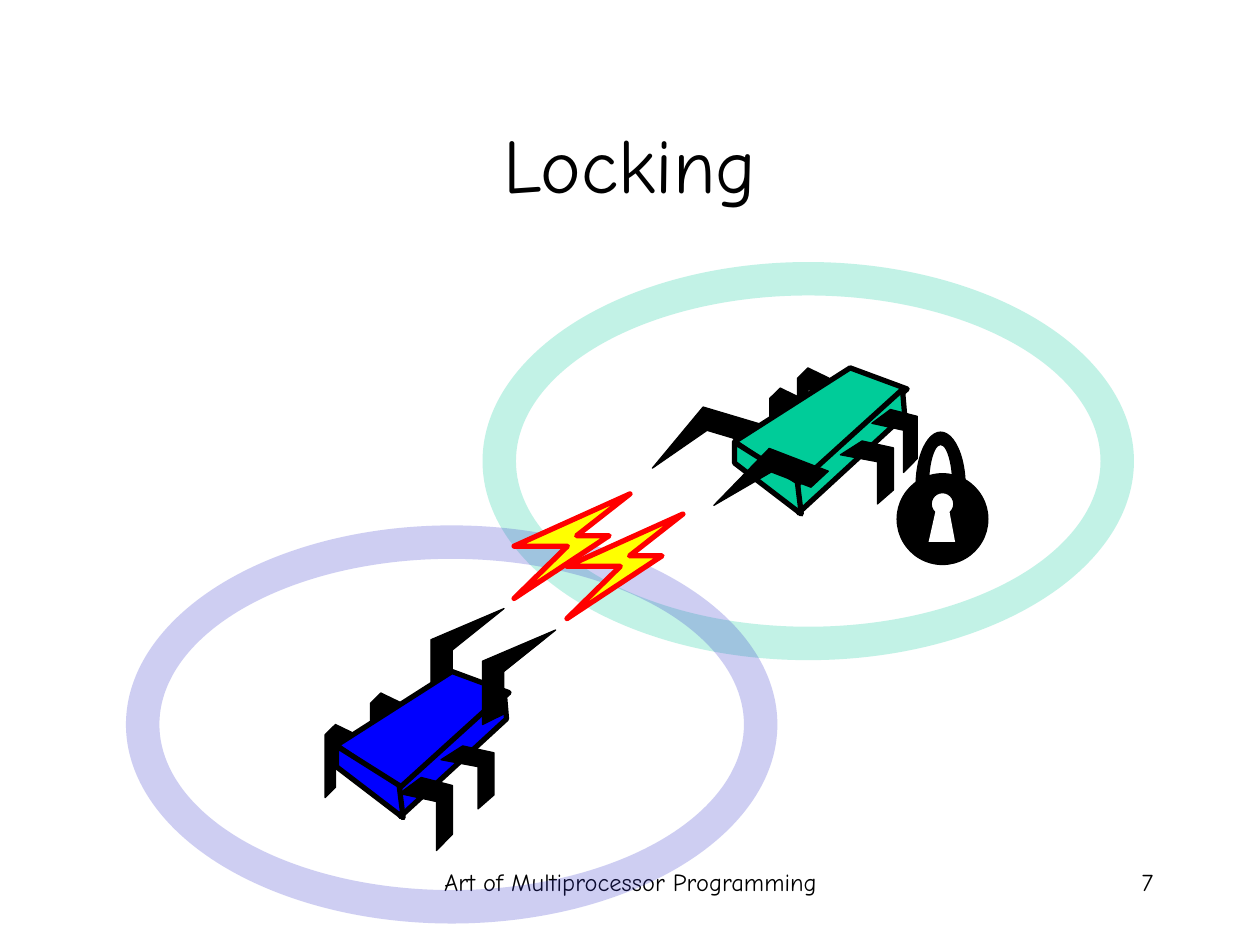
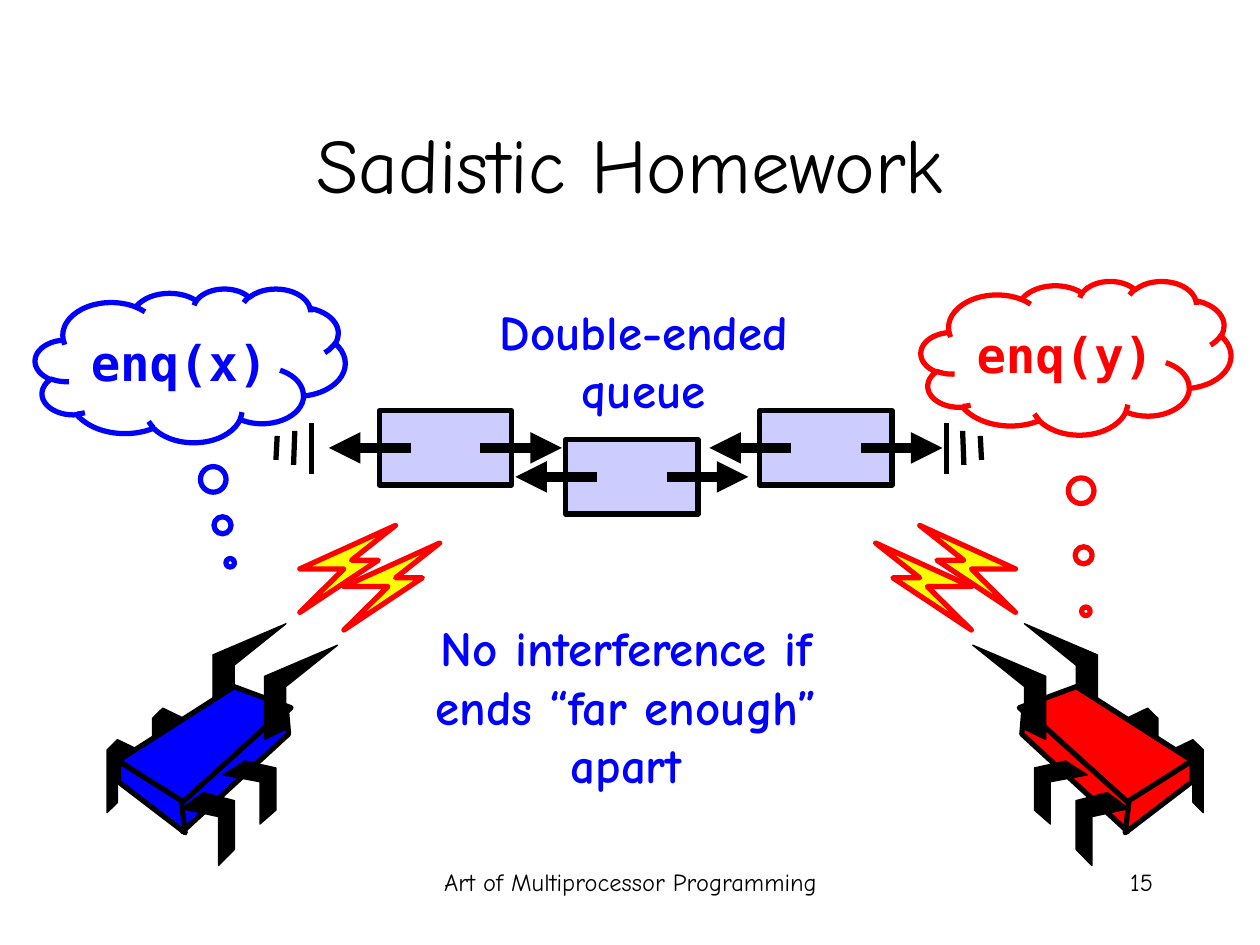
from lxml import etree
from pptx import Presentation
from pptx import util as u
from pptx.dml.color import RGBColor
from pptx.enum import shapes, text
from pptx.oxml.ns import qn

BLACK = RGBColor(0x00, 0x00, 0x00)
WHITE = RGBColor(0xFF, 0xFF, 0xFF)
BLUE = RGBColor(0x00, 0x00, 0xFF)
RED = RGBColor(0xFF, 0x00, 0x00)
YELLOW = RGBColor(0xFF, 0xFF, 0x00)
GREEN = RGBColor(0x00, 0xCC, 0x99)
INDIGO = RGBColor(0x33, 0x33, 0xCC)
LAVENDER = RGBColor(0xCC, 0xCC, 0xFF)

FONT, CODE_FONT = "Comic Neue", "DejaVu Sans Mono"
FOOTER = "Art of Multiprocessor Programming"
TITLE_BOX = (0.75, 0.67, 8.5, 1.25)
FOOTER_BOX = (3.42, 6.83, 3.17, 0.5)
NUMBER_BOX = (7.17, 6.83, 2.08, 0.5)

# Outlines, as shares of each part's own box
CLAW = [(0, 1), (0.29, 0.89), (0.29, 0.44), (1, 0), (0, 0.33)]
BACK_LEG = [(1, 0.14), (0.33, 0), (0, 0.14), (0, 1), (0.33, 0.86), (0.33, 0.29), (1, 0.43)]
SIDE_LEG = [(0.41, 0), (0, 0.22), (0.7, 0.33), (0.7, 1), (1, 0.78), (1, 0.11)]
BODY_TOP = [(0.67, 0), (0, 0.63), (0.37, 1), (1, 0.18)]
BODY_SIDE = [(0.98, 0), (0, 0.77), (0.01, 1), (1, 0.21)]
BODY_FRONT = [(0, 0), (0, 0.29), (1, 1), (0.94, 0.55)]
BOLT = [(0, 1), (0.46, 0.5), (0, 0.5), (1, 0), (0.54, 0.4), (0.82, 0.4)]
KEYHOLE = [(0, 1), (1, 1), (0.76, 0), (0.29, 0)]

# Bug parts: outline, box from the bug's corner, and rotation of a turned claw
BUG_WIDTH = 1.83
CLAW_SIZE, BACK_LEG_SIZE = (0.58, 0.75), (0.25, 0.58)
BODY = [
    (BODY_TOP, (0.09, 0.5, 1.37, 0.93), 0),
    (BODY_SIDE, (0.59, 0.67, 0.85, 0.98), 0),
    (BODY_FRONT, (0.09, 1.09, 0.53, 0.57), 0),
]
REACHING_UP = [
    (CLAW, (0.84, 0, *CLAW_SIZE), 0),
    (BACK_LEG, (0, 0.92, *BACK_LEG_SIZE), 0),
    (BACK_LEG, (0.36, 0.67, *BACK_LEG_SIZE), 0),
    *BODY,
    (SIDE_LEG, (0.59, 1.34, 0.42, 0.58), 0),
    (SIDE_LEG, (0.92, 1.09, 0.42, 0.5), 0),
    (CLAW, (1.25, 0.17, *CLAW_SIZE), 0),
]
REACHING_DOWN = [
    (CLAW, (-0.41, 0.75, *CLAW_SIZE), 286.6),
    (BACK_LEG, (0.59, 0.5, *BACK_LEG_SIZE), 0),
    (BACK_LEG, (0.37, 0.66, *BACK_LEG_SIZE), 0),
    *BODY,
    (SIDE_LEG, (1.18, 0.83, 0.36, 0.5), 0),
    (SIDE_LEG, (0.93, 1.08, 0.42, 0.5), 0),
    (CLAW, (0.09, 1.08, *CLAW_SIZE), 291.1),
]

LOCKING = {
    "title": "Locking",
    "number": "7",
    "rings": [((3.83, 2.08), GREEN), ((1, 4.17), INDIGO)],
    "bolts": [(4.08, 3.92), (4.5, 4.08)],
}
HOMEWORK = {
    "title": "Sadistic Homework",
    "number": "15",
    "clouds": [
        ("enq(x)", (0.28, 2.29), (0.129, 1.284), BLUE),
        ("enq(y)", (7.31, 2.23), (0.032, 1.649), RED),
    ],
    "captions": [
        ("Double-ended queue", (3.31, 2.34, 3.6, 0.57), False),
        ("No interference if ends “far enough” apart", (3.04, 4.85, 3.86, 1.5), True),
    ],
    "nodes": [(6.03, 3.26), (4.49, 3.49), (3.01, 3.26)],
    "bolts": [(2.38, 4.17), (2.73, 4.31)],
}
RING_SIZE = (5.17, 3.16)
CLOUD_SIZE = (2.46, 1.22)
NODE_SIZE = (1.05, 0.59)
ARROW_INSET, ARROW_LENGTH = 0.25, 0.65
QUEUE_AXIS, BOLT_AXIS = 4.99, 5.22
# Right end of the queue: top x, top y, bottom x, bottom y
END_MARKS = [(7.51, 3.36, 7.51, 3.76), (7.64, 3.42, 7.65, 3.69), (7.78, 3.46, 7.79, 3.65)]


def inches(values):
    return [u.Inches(value) for value in values]


def paint(shape, fill=None, line=None, width=0.75, alpha=None):
    shape.shadow.inherit = False
    if fill is None:
        shape.fill.background()
    else:
        shape.fill.solid()
        shape.fill.fore_color.rgb = fill
    if alpha is not None:
        color = shape._element.spPr.find(qn("a:solidFill"))[0]
        etree.SubElement(color, qn("a:alpha"), val=str(alpha * 1000))
    if line is None:
        shape.line.fill.background()
    else:
        shape.line.color.rgb = line
        shape.line.width = u.Pt(width)
    return shape


def add_preset(parent, kind, box, adjustments=(), **look):
    shape = parent.shapes.add_shape(kind, *inches(box))
    for index, value in enumerate(adjustments):
        shape.adjustments[index] = value
    return paint(shape, **look)


def add_outline(parent, outline, box, mirrored=False, rotation=0, **look):
    left, top, width, height = box
    points = [inches((left + width * (1 - x if mirrored else x), top + height * y))
              for x, y in outline]
    builder = parent.shapes.build_freeform(*points[0])
    builder.add_line_segments(points[1:], close=True)
    shape = paint(builder.convert_to_shape(), **look)
    shape.rotation = rotation
    return shape


def add_line(parent, ends, width, arrow=False):
    line = parent.shapes.add_connector(shapes.MSO_CONNECTOR.STRAIGHT, *inches(ends))
    line.line.color.rgb = BLACK
    line.line.width = u.Pt(width)
    properties = line._element.spPr
    if arrow:
        etree.SubElement(properties.find(qn("a:ln")), qn("a:tailEnd"), type="triangle")
    etree.SubElement(properties, qn("a:effectLst"))


def write(shape, words, size=28, font=FONT, color=BLACK, bold=False,
          align=text.PP_ALIGN.CENTER, anchor=text.MSO_ANCHOR.TOP, wrap=True):
    frame = shape.text_frame
    frame.text = words
    frame.word_wrap = wrap
    frame.vertical_anchor = anchor
    frame.margin_left = frame.margin_right = u.Inches(0.1)
    frame.margin_top = frame.margin_bottom = u.Inches(0.05)
    paragraph = frame.paragraphs[0]
    paragraph.alignment = align
    letters = paragraph.runs[0].font
    letters.size, letters.name, letters.bold = u.Pt(size), font, bold
    letters.color.rgb = color


def add_text(slide, words, box, **style):
    write(slide.shapes.add_textbox(*inches(box)), words, **style)


def add_bug(slide, corner, color, parts=REACHING_UP, mirrored=False):
    bug = slide.shapes.add_group_shape()
    for outline, (left, top, width, height), rotation in parts:
        if mirrored:
            left = BUG_WIDTH - left - width
        is_body = outline in (BODY_TOP, BODY_SIDE, BODY_FRONT)
        add_outline(bug, outline, (corner[0] + left, corner[1] + top, width, height),
                    mirrored=mirrored or rotation != 0, rotation=rotation,
                    fill=color if is_body else BLACK, line=BLACK,
                    width=3 if is_body else 0.75)


def add_bolts(slide, corners, size, mirrored=False):
    for left, top in corners:
        if mirrored:
            left = 2 * BOLT_AXIS - left - size[0]
        add_outline(slide, BOLT, (left, top, *size), mirrored=mirrored,
                    fill=YELLOW, line=RED, width=3)


def add_padlock(slide):
    lock = slide.shapes.add_group_shape()
    kinds = shapes.MSO_SHAPE
    add_preset(lock, kinds.OVAL, (7.12, 3.76, 0.72, 0.72), fill=BLACK, line=BLACK)
    add_preset(lock, kinds.OVAL, (7.39, 3.91, 0.18, 0.18), fill=WHITE, line=BLACK)
    add_outline(lock, KEYHOLE, (7.37, 4.03, 0.21, 0.27), fill=WHITE)
    add_preset(lock, kinds.BLOCK_ARC, (7.27, 3.43, 0.39, 0.87), (108, 0, 0.25),
               fill=BLACK, line=BLACK)


def add_queue(slide, nodes):
    queue = slide.shapes.add_group_shape()
    for x1, y1, x2, y2 in END_MARKS:
        add_line(queue, (x1, y1, x2, y2), 3)
        add_line(queue, (2 * QUEUE_AXIS - x1, y1, 2 * QUEUE_AXIS - x2, y2), 3)
    for left, top in nodes:
        add_preset(queue, shapes.MSO_SHAPE.RECTANGLE, (left, top, *NODE_SIZE),
                   fill=LAVENDER, line=BLACK, width=3)
        middle = top + NODE_SIZE[1] / 2
        starts = (left + NODE_SIZE[0] - ARROW_INSET, 1), (left + ARROW_INSET, -1)
        for start, direction in starts:
            add_line(queue, (start, middle, start + direction * ARROW_LENGTH, middle),
                     6, arrow=True)


def add_slide(presentation, content):
    """Add a slide with its title, footer and number."""
    slide = presentation.slides.add_slide(presentation.slide_layouts[5])
    title = slide.shapes.title
    title.left, title.top, title.width, title.height = inches(TITLE_BOX)
    write(title, content["title"], size=44, anchor=text.MSO_ANCHOR.MIDDLE)
    add_text(slide, FOOTER, FOOTER_BOX, size=14)
    add_text(slide, content["number"], NUMBER_BOX, size=14, align=text.PP_ALIGN.RIGHT)
    return slide


def build_locking(presentation):
    slide = add_slide(presentation, LOCKING)
    add_bug(slide, (5.74, 2.42), GREEN, REACHING_DOWN)
    add_padlock(slide)
    for corner, color in LOCKING["rings"]:
        add_preset(slide, shapes.MSO_SHAPE.DONUT, (*corner, *RING_SIZE), (0.084,),
                   fill=color, alpha=24)
    add_bug(slide, (2.58, 4.83), BLUE)
    add_bolts(slide, LOCKING["bolts"], (0.92, 0.83))


def build_homework(presentation):
    slide = add_slide(presentation, HOMEWORK)
    add_bug(slide, (0.85, 4.95), BLUE)
    add_bug(slide, (7.72, 4.95), RED, mirrored=True)
    add_queue(slide, HOMEWORK["nodes"])
    for words, corner, tail, color in HOMEWORK["clouds"]:
        cloud = add_preset(slide, shapes.MSO_SHAPE.CLOUD_CALLOUT, (*corner, *CLOUD_SIZE),
                           tail, line=color, width=3)
        write(cloud, words, font=CODE_FONT, color=color, bold=True,
              anchor=text.MSO_ANCHOR.MIDDLE)
    for words, box, wrap in HOMEWORK["captions"]:
        add_text(slide, words, box, color=BLUE, bold=True, wrap=wrap)
    for mirrored in (False, True):
        add_bolts(slide, HOMEWORK["bolts"], (0.76, 0.69), mirrored)


def main():
    presentation = Presentation()
    presentation.slide_width, presentation.slide_height = inches((10, 7.5))
    build_locking(presentation)
    build_homework(presentation)
    presentation.save("out.pptx")


if __name__ == "__main__":
    main()
